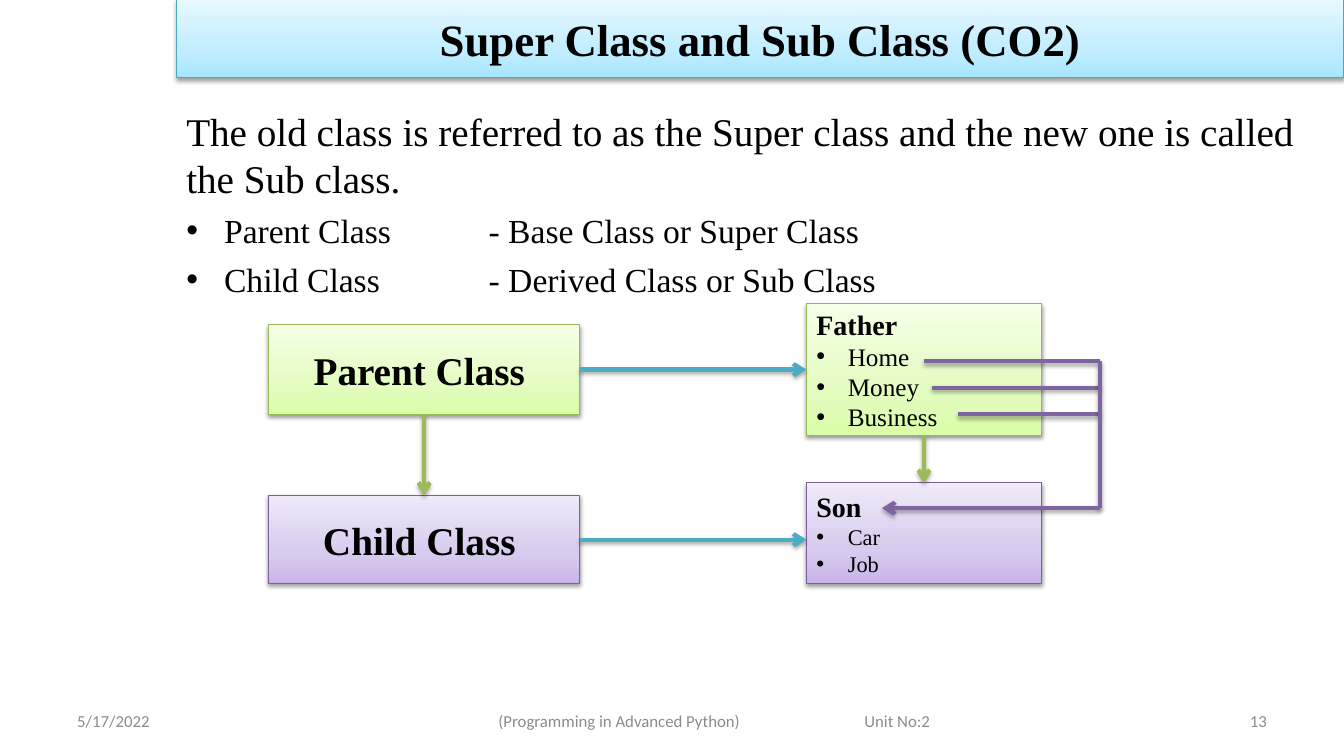
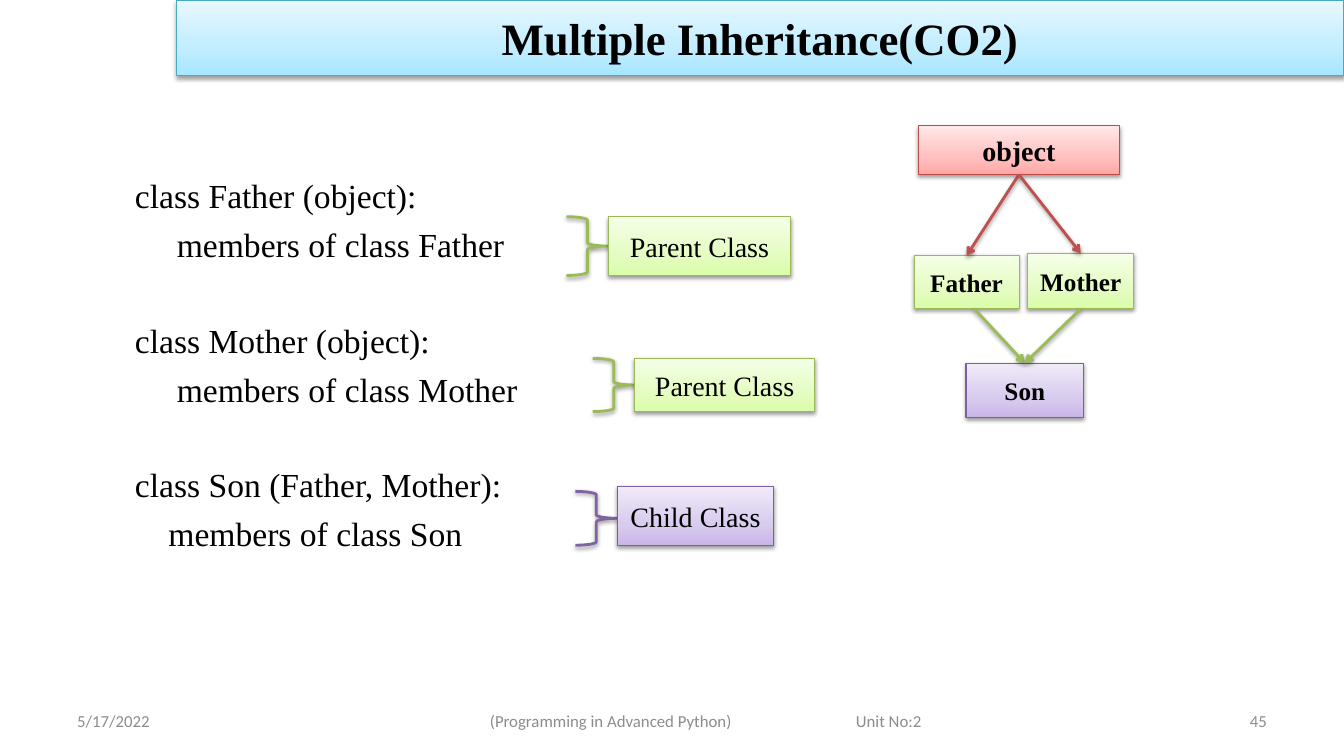
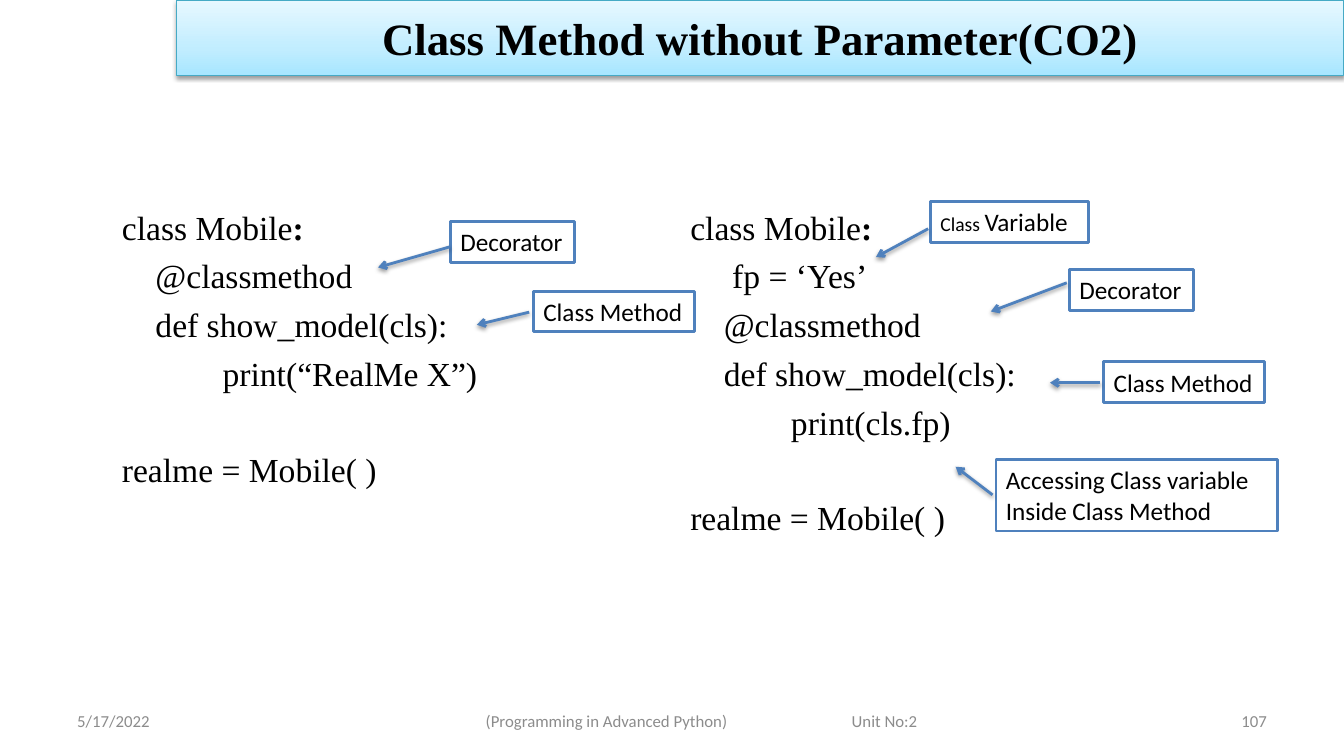
from dataclasses import dataclass

from lxml.etree import SubElement
from pptx import Presentation
from pptx.dml.color import RGBColor
from pptx.enum.shapes import MSO_CONNECTOR, MSO_SHAPE
from pptx.enum.text import MSO_ANCHOR, MSO_AUTO_SIZE, PP_ALIGN
from pptx.oxml.ns import qn
from pptx.util import Pt

SERIF, SANS = "Times New Roman", "Calibri"
BLACK, WHITE, GREY = "000000", "FFFFFF", "8C8C8C"
GREEN, PURPLE, RED, TEAL, BLUE = "9BBB59", "8064A2", "C0504D", "4BACC6", "4F81BD"
PARENT = (("DAFDA7", "E4FCC2", "F5FFE7"), "98B955")
CHILD = (("C9B5E8", "D8CBEE", "F0EAF9"), "7D60A0")
ROOT = (("FFA6A5", "FFC0BF", "FFE7E7"), "BF4C48")
BAND = (("A7E6FF", "C1EDFF", "E7F8FF"), "46AAC5")
TOP, LEFT, BOTTOM, RIGHT = range(4)
CODE_GAP, BLANK_LINE = 6, 39.6
COURSE_WIDTH, UNIT_TAB = 308, 261.4


@dataclass
class Line:
    runs: object
    size: float = 24
    bold: bool = False
    font: str = SERIF
    color: str = BLACK
    align: object = PP_ALIGN.LEFT
    before: float = 0
    indent: float = 0
    tab: float = 0


def rgb(value):
    return RGBColor.from_string(value)


def add_shadow(item, distance=1.6, alpha=38):
    effects = SubElement(item._element.spPr, qn("a:effectLst"))
    outer = SubElement(effects, qn("a:outerShdw"), blurRad=str(Pt(3.1)),
                       dist=str(Pt(distance)), dir="5400000", rotWithShape="0")
    black = SubElement(outer, qn("a:srgbClr"), val=BLACK)
    SubElement(black, qn("a:alpha"), val=str(alpha * 1000))


def set_gradient(shape, colors):
    shape.fill.gradient()
    shape.fill.gradient_angle = 90
    stops = shape._element.spPr.find(qn("a:gradFill")).find(qn("a:gsLst"))
    for stop in list(stops):
        stops.remove(stop)
    for position, color in zip((0, 35, 100), colors):
        stop = SubElement(stops, qn("a:gs"), pos=str(position * 1000))
        SubElement(stop, qn("a:srgbClr"), val=color)


def format_paragraph(paragraph, line):
    paragraph.alignment = line.align
    paragraph.space_before = Pt(line.before)
    properties = paragraph._p.get_or_add_pPr()
    if line.indent:
        properties.set("marL", str(Pt(line.indent)))
        properties.set("indent", str(-Pt(line.indent)))
        SubElement(properties, qn("a:buFont"), typeface="Arial")
        SubElement(properties, qn("a:buChar"), char="•")
    if line.tab:
        tabs = SubElement(properties, qn("a:tabLst"))
        SubElement(tabs, qn("a:tab"), pos=str(Pt(line.tab)), algn="l")
    font = paragraph.font
    font.name, font.size, font.bold = line.font, Pt(line.size), line.bold
    font.color.rgb = rgb(line.color)


def write(frame, lines, anchor=MSO_ANCHOR.MIDDLE):
    frame.word_wrap = True
    frame.vertical_anchor = anchor
    for index, line in enumerate(lines):
        paragraph = frame.add_paragraph() if index else frame.paragraphs[0]
        format_paragraph(paragraph, line)
        runs = [(line.runs, {})] if isinstance(line.runs, str) else line.runs
        for text, changes in runs:
            run = paragraph.add_run()
            run.text = text
            for name, value in changes.items():
                setattr(run.font, name, value)


def add_text(slide, box, lines, anchor=MSO_ANCHOR.TOP):
    frame = slide.shapes.add_textbox(*map(Pt, box)).text_frame
    write(frame, lines, anchor)
    return frame


def add_box(slide, box, style, lines):
    colors, outline = style
    shape = slide.shapes.add_shape(MSO_SHAPE.RECTANGLE, *map(Pt, box))
    set_gradient(shape, colors)
    shape.line.color.rgb = rgb(outline)
    shape.line.width = Pt(0.75)
    add_shadow(shape)
    write(shape.text_frame, lines)
    return shape


def add_named_box(slide, box, style, name, size, bold=True):
    return add_box(slide, box, style,
                   [Line(name, size, bold, align=PP_ALIGN.CENTER)])


def add_member_box(slide, box, style, name, members, size):
    return add_box(slide, box, style, [Line(name, 20, True)] + [
        Line(member, size, indent=22.5) for member in members])


def add_brace(slide, box, color):
    brace = slide.shapes.add_shape(MSO_SHAPE.RIGHT_BRACE, *map(Pt, box))
    brace.fill.background()
    brace.line.color.rgb = rgb(color)
    brace.line.width = Pt(2)
    add_shadow(brace)


def add_line(slide, start, end, color, width=2, arrow=True):
    connector = slide.shapes.add_connector(
        MSO_CONNECTOR.STRAIGHT, *map(Pt, (*start, *end)))
    connector.line.color.rgb = rgb(color)
    connector.line.width = Pt(width)
    if arrow:
        SubElement(connector.line._get_or_add_ln(), qn("a:tailEnd"), type="arrow")
    if width == 3:
        add_shadow(connector, 1.8, 35)
    else:
        add_shadow(connector)
    return connector


def join(slide, source, source_side, target, target_side, color, width=2):
    connector = add_line(slide, (0, 0), (0, 0), color, width)
    connector.begin_connect(source, source_side)
    connector.end_connect(target, target_side)


def add_callout(slide, box, lines, start, end, wrap=False):
    label = slide.shapes.add_shape(MSO_SHAPE.RECTANGLE, *map(Pt, box))
    label.shadow.inherit = False
    label.fill.solid()
    label.fill.fore_color.rgb = rgb(WHITE)
    label.line.color.rgb = rgb(BLUE)
    label.line.width = Pt(2)
    write(label.text_frame, [Line(text, 18, font=SANS) for text in lines],
          MSO_ANCHOR.TOP)
    label.text_frame.word_wrap = wrap
    label.text_frame.auto_size = MSO_AUTO_SIZE.SHAPE_TO_FIT_TEXT
    add_line(slide, start, end, BLUE)


def add_code(slide, box, blocks):
    lines = []
    for block in blocks:
        for index, text in enumerate(block):
            gap = CODE_GAP if index else BLANK_LINE if lines else 0
            lines.append(Line(text, before=gap))
    add_text(slide, box, lines)


def add_footer(slide, course_left, course_width, number):
    def small(text, **options):
        return [Line(text, 12, font=SANS, color=GREY, **options)]

    top, height = 500.4, 28.8
    add_text(slide, (48, top, 224, height), small("5/17/2022"), MSO_ANCHOR.MIDDLE)
    course = add_text(slide, (course_left, top, course_width, height),
                      small("(Programming in Advanced Python)\tUnit No:2",
                            tab=UNIT_TAB), MSO_ANCHOR.MIDDLE)
    course.margin_left = Pt((course_width - COURSE_WIDTH) / 2)
    add_text(slide, (688, top, 224, height),
             small(number, align=PP_ALIGN.RIGHT), MSO_ANCHOR.MIDDLE)


def start_slide(deck, title, number, course, band_height=54):
    slide = deck.slides.add_slide(deck.slide_layouts[6])
    add_named_box(slide, (126, 0, 834, band_height), BAND, title, 32)
    add_footer(slide, *course, number)
    return slide


def super_and_sub_class(deck):
    slide = start_slide(deck, "Super Class and Sub Class (CO2)", "13", (288, 444), 55.4)
    add_text(slide, (126, 73.4, 822, 133), [
        Line("The old class is referred to as the Super class and the new one "
             "is called the Sub class.", 28),
        Line("Parent Class \t- Base Class or Super Class",
             before=CODE_GAP, indent=27, tab=216),
        Line("Child Class \t- Derived Class or Sub Class",
             before=CODE_GAP, indent=27, tab=216)])
    parent = add_named_box(slide, (192, 232, 222, 64), PARENT, "Parent Class ", 28)
    child = add_named_box(slide, (192, 354, 222, 63), CHILD, "Child Class ", 28)
    father = add_member_box(slide, (576, 217, 168, 94), PARENT, "Father",
                            ("Home", "Money", "Business"), 18)
    son = add_member_box(slide, (576, 345, 168, 72), CHILD, "Son", ("Car", "Job"), 16)
    join(slide, parent, BOTTOM, child, TOP, GREEN, 3)
    join(slide, father, BOTTOM, son, TOP, GREEN, 3)
    join(slide, parent, RIGHT, father, LEFT, TEAL, 3)
    child_to_son = add_line(slide, (414, 385.5), (576, 385.5), TEAL, 3)
    child_to_son.begin_connect(child, RIGHT)
    trunk, son_y = 786, 363
    member_ends = ((660, 258), (666, 277), (684, 296))
    for left, y in member_ends:
        add_line(slide, (left, y), (trunk, y), PURPLE, 3, False)
    add_line(slide, (trunk, member_ends[0][1]), (trunk, son_y), PURPLE, 3, False)
    add_line(slide, (trunk, son_y), (630, son_y), PURPLE, 3)


def multiple_inheritance(deck):
    slide = start_slide(deck, "Multiple Inheritance(CO2)", "45", (234, 540))
    add_code(slide, (89.3, 121.7, 322, 310), (
        ("class Father (object):", "     members of class Father"),
        ("class Mother (object):", "     members of class Mother"),
        ("class Son (Father, Mother):", "    members of class Son")))
    for brace, label, style, color, name in (
            ((404.6, 154.8, 30, 42), (434.9, 154.8, 129.6, 42), PARENT, GREEN, "Parent Class"),
            ((423.4, 256, 30, 38), (453.4, 256, 128.5, 38), PARENT, GREEN, "Parent Class"),
            ((411, 351, 30, 38.5), (441, 347.6, 111.6, 42), CHILD, PURPLE, "Child Class")):
        add_brace(slide, brace, color)
        add_named_box(slide, label, style, name, 20, False)
    base = add_named_box(slide, (655.8, 90, 144, 34.7), ROOT, "object", 20)
    father = add_named_box(slide, (653, 182.6, 75, 38), PARENT, "Father", 18)
    mother = add_named_box(slide, (734, 181, 76, 39.6), PARENT, "Mother", 18)
    son = add_named_box(slide, (690, 259.4, 84, 39), CHILD, "Son", 18)
    father_to_son = add_line(slide, (696, 220.6), (732, 259.4), GREEN)
    father_to_son.end_connect(son, TOP)
    join(slide, mother, BOTTOM, son, TOP, GREEN)
    for parent in (father, mother):
        join(slide, base, BOTTOM, parent, TOP, RED)


def class_method(deck):
    slide = start_slide(deck, "Class Method without Parameter(CO2)", "107", (228, 546))
    heading = [("class Mobile", {}), (":", {"bold": True})]
    method = ("    @classmethod", "    def show_model(cls):")
    instance = ("realme = Mobile( )",)
    add_code(slide, (486, 144, 255, 267), (
        (heading, "     fp = ‘Yes’", *method, "            print(cls.fp)"), instance))
    add_code(slide, (80, 144, 358.6, 267), (
        (heading, *method, "            print(“RealMe X”)"), instance))
    variable = [("Class ", {"size": Pt(14)}), ("Variable", {})]
    add_callout(slide, (788.4, 258.5, 115, 29), ["Class Method"], (786, 273.4), (750, 273.4))
    add_callout(slide, (381, 208, 115, 29), ["Class Method"], (378, 223), (340.6, 232))
    add_callout(slide, (664.6, 144, 113, 29), [variable], (663, 163.4), (625.7, 183.6), True)
    add_callout(slide, (321.8, 158.4, 88.6, 29), ["Decorator"], (321, 176.4), (270, 191))
    add_callout(slide, (764, 192.6, 88.6, 29), ["Decorator"], (762, 202), (707.8, 222.5))
    add_callout(slide, (711.4, 328.3, 201, 51), [
        "Accessing Class variable", "Inside Class Method"], (709, 353.5), (682.6, 333.4), True)


def main():
    deck = Presentation()
    deck.slide_width, deck.slide_height = Pt(960), Pt(540)
    super_and_sub_class(deck)
    multiple_inheritance(deck)
    class_method(deck)
    deck.save("out.pptx")


if __name__ == "__main__":
    main()
